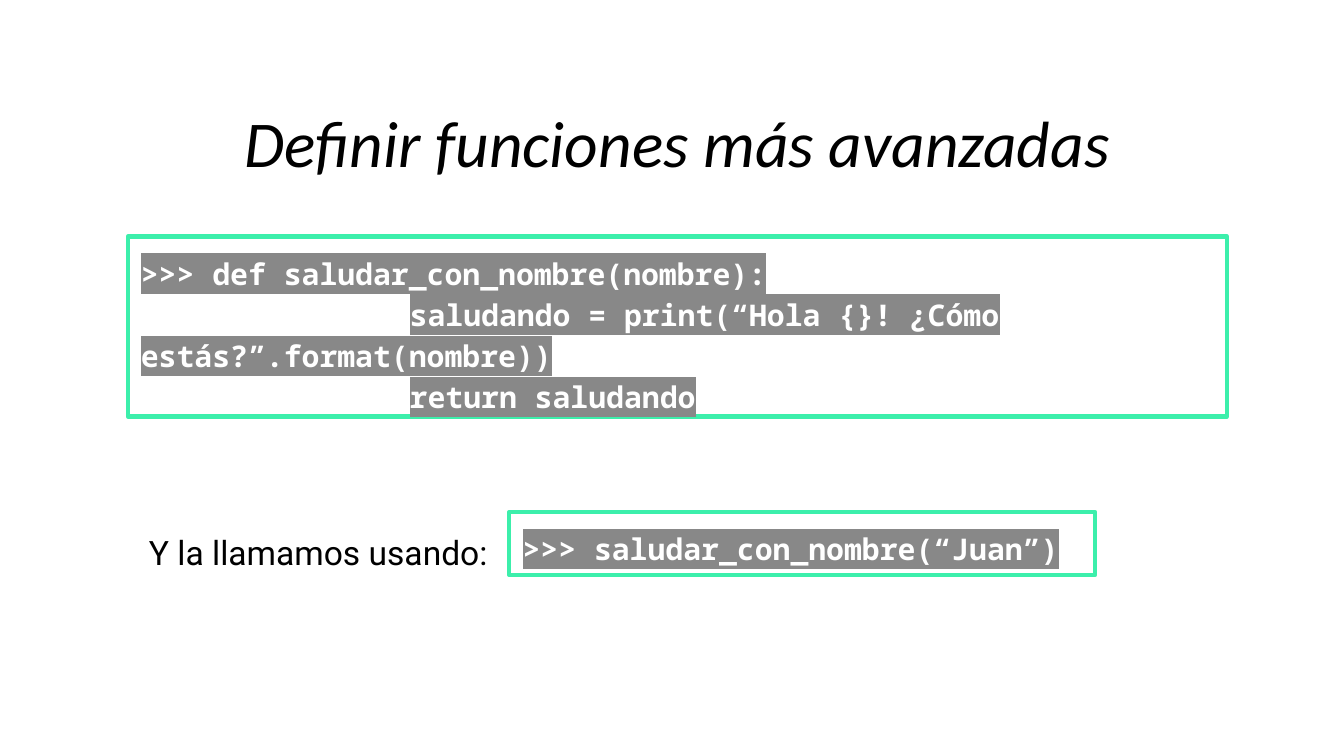
from lxml.etree import SubElement
from pptx import Presentation
from pptx.dml.color import RGBColor
from pptx.enum.shapes import MSO_SHAPE as Shape
from pptx.enum.text import MSO_ANCHOR as Anchor, MSO_AUTO_SIZE as AutoSize, PP_ALIGN as Align
from pptx.oxml.ns import qn
from pptx.util import Inches, Pt

COLORS = {
    "text": "000000",
    "code": "FFFFFF",
    "highlight": "888888",
    "frame": "3CEFAB",
    "background": "FFFFFF",
}


def color(name):
    return RGBColor.from_string(COLORS[name])


def highlight(span, name):
    """Mark a run; call after its colour and before its typeface is set."""
    mark = SubElement(span.font._element, qn("a:highlight"))
    SubElement(mark, qn("a:srgbClr"), val=COLORS[name])


def add_tab_stops(para, count):
    """Set one left tab stop per inch; call after the line spacing is set."""
    stops = SubElement(para._p.get_or_add_pPr(), qn("a:tabLst"))
    for number in range(1, count + 1):
        SubElement(stops, qn("a:tab"), pos=str(Inches(number)), algn="l")


def write(box, text, *, font, size, ink="text", bold=False, italic=False,
          align=Align.LEFT, anchor=Anchor.TOP, spacing=1.15, mark=None, grow=False):
    """Fill a box with one paragraph for each line of text."""
    frame = box.text_frame
    frame.word_wrap = True
    frame.auto_size = AutoSize.SHAPE_TO_FIT_TEXT if grow else AutoSize.NONE
    frame.vertical_anchor = anchor
    frame.margin_left = frame.margin_right = Inches(0.1)
    frame.margin_top = frame.margin_bottom = Inches(0.1)
    for index, line in enumerate(text.split("\n")):
        para = frame.add_paragraph() if index else frame.paragraphs[0]
        para.alignment = align
        para.line_spacing = spacing
        if "\t" in line:
            add_tab_stops(para, line.count("\t"))
        span = para.add_run()
        span.text = line
        span.font.size = Pt(size)
        span.font.bold = bold
        span.font.italic = italic
        span.font.color.rgb = color(ink)
        if mark:
            highlight(span, mark)
        span.font.name = font


def add_text(page, text, left, top, width, height, **style):
    box = page.shapes.add_textbox(Inches(left), Inches(top), Inches(width), Inches(height))
    write(box, text, **style)


def add_code(page, code, left, top, width, height, **style):
    """Framed box with highlighted code."""
    box = page.shapes.add_shape(
        Shape.RECTANGLE, Inches(left), Inches(top), Inches(width), Inches(height))
    box.shadow.inherit = False
    box.fill.background()
    box.line.color.rgb = color("frame")
    box.line.width = Pt(2.25)
    write(box, code, font="Noto Sans Mono", size=16, ink="code", bold=True,
          mark="highlight", **style)


def main():
    # Widescreen page, 16:9
    deck = Presentation()
    deck.slide_width = Inches(10)
    deck.slide_height = Inches(10 * 9 / 16)
    page = deck.slides.add_slide(deck.slide_layouts[6])
    page.background.fill.solid()
    page.background.fill.fore_color.rgb = color("background")

    # Title
    add_text(page, "Definir funciones más avanzadas", 1.2, 0.51, 7.68, 1.08,
             font="Calibri", size=35, italic=True, align=Align.CENTER,
             anchor=Anchor.MIDDLE, spacing=1.0)

    # Function definition
    add_code(page,
             ">>> def saludar_con_nombre(nombre):\n"
             "\t\tsaludando = print(“Hola {}! ¿Cómo estás?”.format(nombre))\n"
             "\t\treturn saludando",
             0.95, 1.76, 8.18, 1.34)

    # Function call
    add_text(page, "Y la llamamos usando:", 1.01, 3.81, 3.28, 0.5,
             font="Roboto", size=18, grow=True)
    add_code(page, ">>> saludar_con_nombre(“Juan”)", 3.79, 3.81, 4.36, 0.47, grow=True)

    deck.save("out.pptx")


if __name__ == "__main__":
    main()
